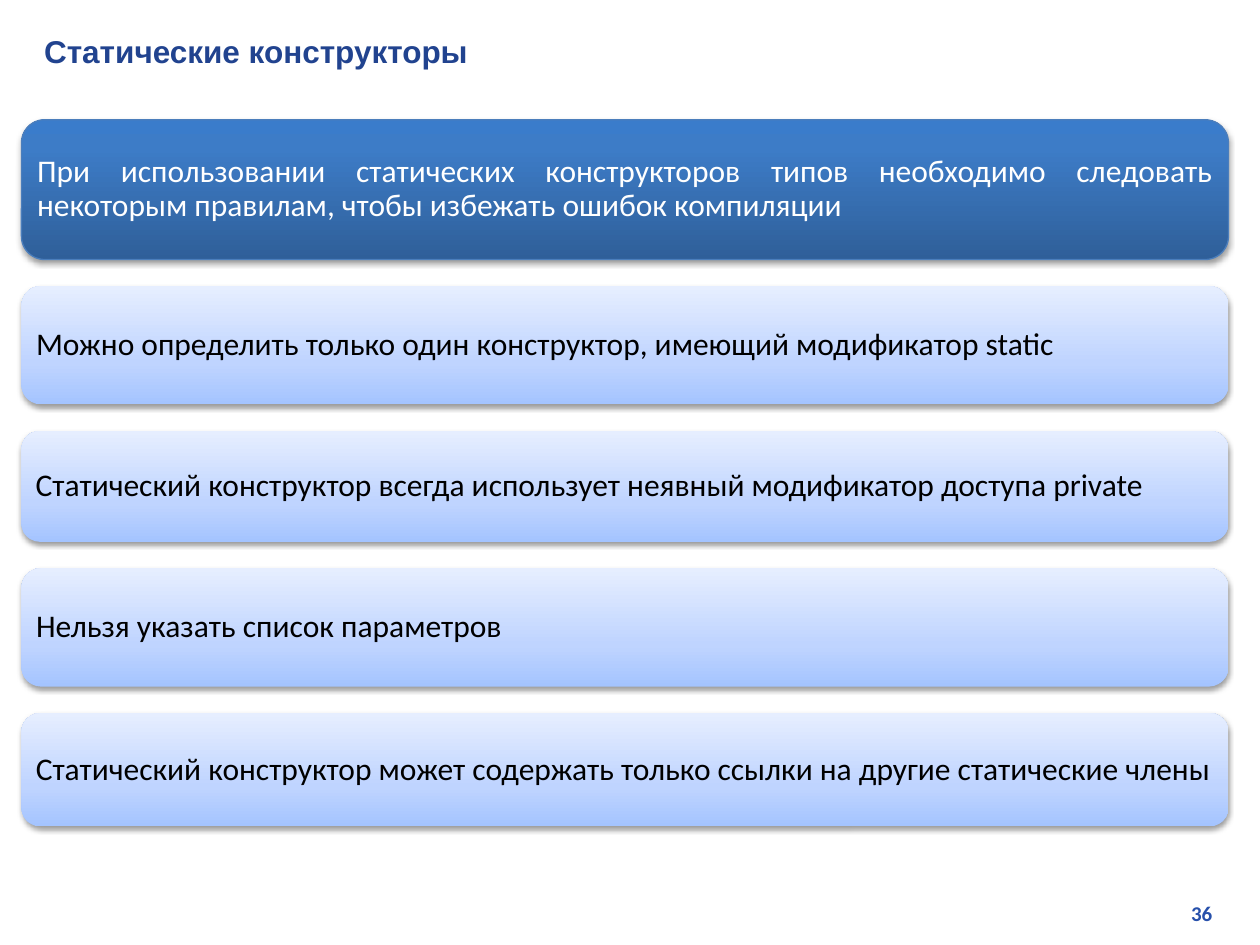
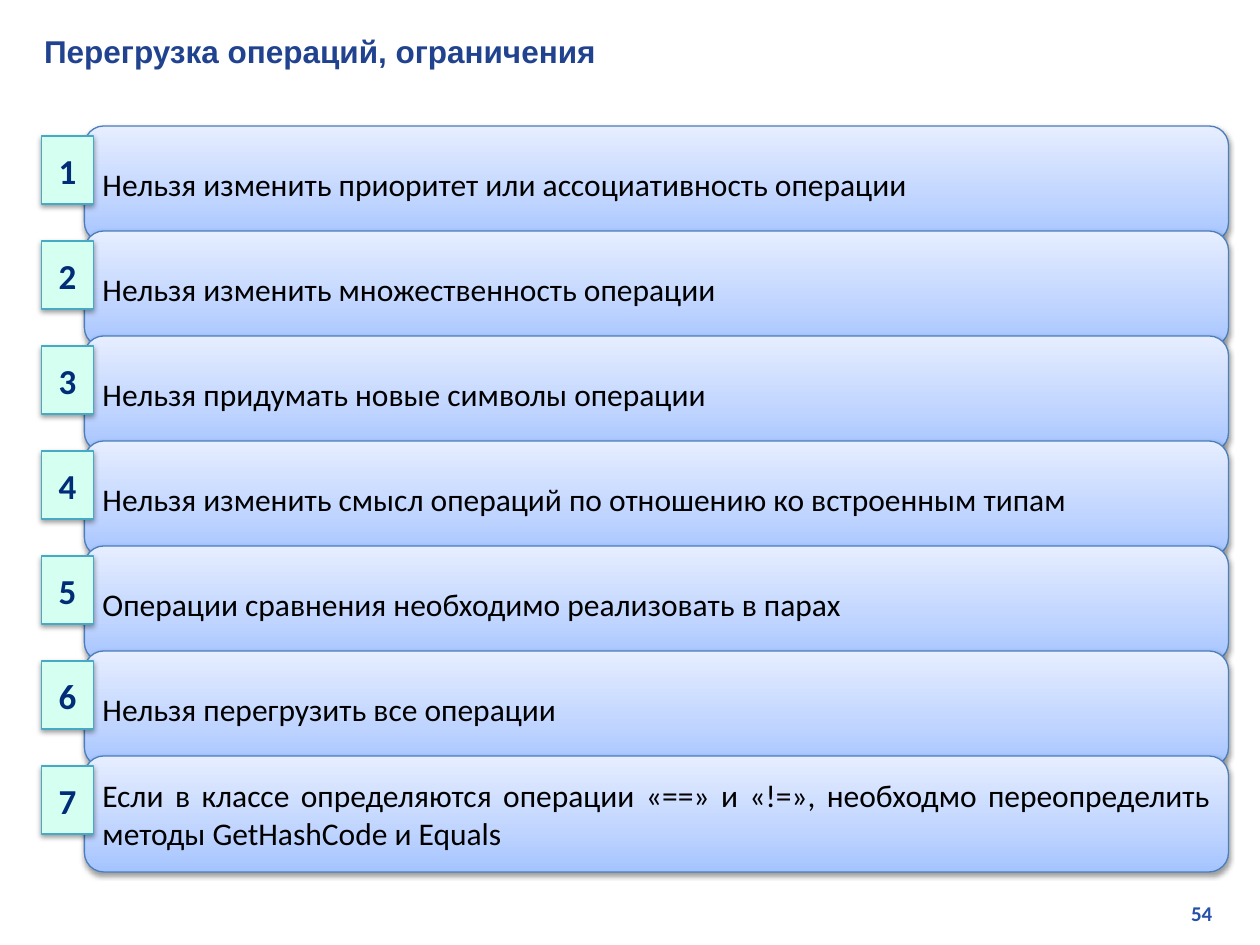
from lxml import etree
from pptx import Presentation
from pptx.dml.color import RGBColor
from pptx.enum.shapes import MSO_SHAPE as SHAPE
from pptx.enum.text import MSO_ANCHOR as ANCHOR, MSO_AUTO_SIZE as AUTO_SIZE, PP_ALIGN as ALIGN
from pptx.oxml.ns import qn
from pptx.util import Inches, Pt

COLORS = {
    "title": "21438F", "number": "2750AB", "white": "FFFFFF", "black": "000000",
    "card_line": "4B7EBC", "badge": "D5FFF1", "badge_line": "46AAC5", "badge_text": "002C78",
}
# Gradient stops run from the bottom of a card to its top
DARK = [(0, "2F5F99"), (80, "3D7CC7"), (100, "3A7CCB")]
LIGHT = [(0, "A4C4FF"), (35, "BFD4FF"), (100, "E6EEFF")]

RULES = [
    (1.11, "При использовании статических конструкторов типов необходимо следовать "
           "некоторым правилам, чтобы избежать ошибок компиляции"),
    (0.94, "Можно определить только один конструктор, имеющий модификатор static"),
    (0.88, "Cтатический конструктор всегда использует неявный модификатор доступа private"),
    (0.94, "Нельзя указать список параметров"),
    (0.9, "Статический конструктор может содержать только ссылки на другие статические члены"),
]
LIMITS = [
    "Нельзя изменить приоритет или ассоциативность операции",
    "Нельзя изменить множественность операции",
    "Нельзя придумать новые символы операции",
    "Нельзя изменить смысл операций по отношению ко встроенным типам",
    "Операции сравнения необходимо реализовать в парах",
    "Нельзя перегрузить все операции",
    "Если в классе определяются операции «==» и «!=», необходмо переопределить "
    "методы GetHashCode и Equals",
]


def write(sp, text, size=18, font="Calibri", color="black", bold=False, align=ALIGN.JUSTIFY,
          anchor=ANCHOR.MIDDLE, spacing=None, inset=None, wrap=True):
    tf = sp.text_frame
    tf.auto_size = AUTO_SIZE.NONE
    tf.word_wrap = wrap
    tf.vertical_anchor = anchor
    if inset is not None:
        tf.margin_left = tf.margin_right = tf.margin_top = tf.margin_bottom = Inches(inset)
    p = tf.paragraphs[0]
    p.alignment = align
    p.line_spacing = spacing
    r = p.add_run()
    r.text = text
    r.font.size, r.font.name, r.font.bold = Pt(size), font, bold
    r.font.color.rgb = RGBColor.from_string(COLORS[color])


def add_card(s, left, top, width, height, stops=None, fill=None, line=None, distance=1.6):
    """Add a rounded box with a soft shadow, filled with gradient stops or one colour."""
    sp = s.shapes.add_shape(SHAPE.ROUNDED_RECTANGLE, Inches(left), Inches(top),
                            Inches(width), Inches(height))
    if stops:
        sp.fill.gradient()
        grad = sp._element.spPr.find(qn("a:gradFill"))
        stop_list = grad.find(qn("a:gsLst"))
        for gs in list(stop_list):
            stop_list.remove(gs)
        for pos, color in stops:
            gs = etree.SubElement(stop_list, qn("a:gs"), pos=str(pos * 1000))
            etree.SubElement(gs, qn("a:srgbClr"), val=color)
        grad.find(qn("a:lin")).set("ang", str(270 * 60000))
    else:
        sp.fill.solid()
        sp.fill.fore_color.rgb = RGBColor.from_string(COLORS[fill])
    if line:
        sp.line.color.rgb = RGBColor.from_string(COLORS[line])
        sp.line.width = Pt(0.75)
    else:
        sp.line.fill.background()
    sp.shadow.inherit = False
    effects = sp._element.spPr.find(qn("a:effectLst"))
    shadow = etree.SubElement(effects, qn("a:outerShdw"), blurRad=str(Pt(3.1)),
                              dist=str(Pt(distance)), dir=str(90 * 60000), rotWithShape="0")
    black = etree.SubElement(shadow, qn("a:srgbClr"), val=COLORS["black"])
    etree.SubElement(black, qn("a:alpha"), val="38000")
    return sp


prs = Presentation()
prs.slide_width, prs.slide_height = Inches(10), Inches(7.5)

slides = []
for title, number in [("Статические конструкторы", 36), ("Перегрузка операций, ограничения", 54)]:
    s = prs.slides.add_slide(prs.slide_layouts[5])
    sp = s.shapes.title
    sp.left, sp.top, sp.width, sp.height = Inches(0.25), Inches(0.2), Inches(9.54), Inches(0.4)
    write(sp, title, font="Arial", color="title", bold=True, align=ALIGN.LEFT)
    box = s.shapes.add_textbox(Inches(7.6), Inches(7.1), Inches(2.12), Inches(0.3))
    write(box, str(number), size=12, color="number", bold=True, align=ALIGN.RIGHT,
          anchor=ANCHOR.TOP)
    slides.append(s)
constructors, overloading = slides

# Rules for static constructors: a dark lead card, then light ones
top, gap = 0.95, 0.21
for i, (height, text) in enumerate(RULES):
    if i == 0:
        card = add_card(constructors, 0.17, top, 9.58, height, DARK, line="card_line", distance=1.8)
    else:
        card = add_card(constructors, 0.17, top, 9.58, height, LIGHT)
    write(card, text, color="black" if i else "white", spacing=0.9, inset=0.07)
    top += height + gap

# Limits of overloading: overlapping cards with numbered badges
pitch = 5 / 6
for i, text in enumerate(LIMITS):
    top = 1 + i * pitch
    card = add_card(overloading, 0.67, top, 9.08, 0.92, LIGHT, line="card_line")
    write(card, text)
    badge = add_card(overloading, 0.33, top + 0.08, 0.41, 0.54, fill="badge", line="badge_line")
    badge.adjustments[0] = 0
    write(badge, str(i + 1), size=20, color="badge_text", bold=True, align=ALIGN.CENTER, wrap=False)

prs.save("out.pptx")
